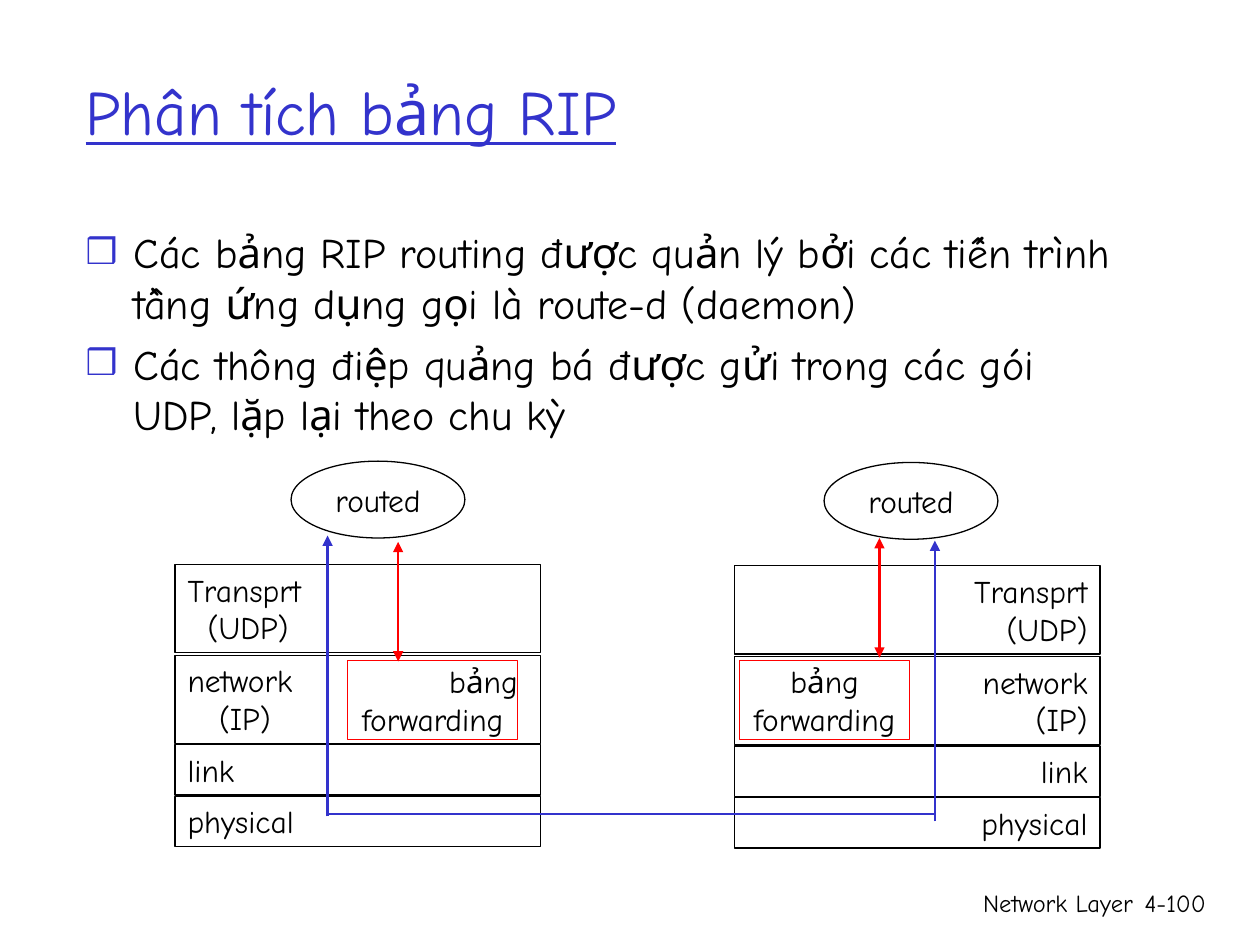
from dataclasses import dataclass

import pptx
import pptx.dml.color
import pptx.enum.shapes
import pptx.enum.text
import pptx.oxml
import pptx.oxml.ns
import pptx.util

RGBColor = pptx.dml.color.RGBColor
SHAPE = pptx.enum.shapes.MSO_SHAPE
ALIGN = pptx.enum.text.PP_ALIGN
ANCHOR = pptx.enum.text.MSO_ANCHOR

BLACK = RGBColor(0x00, 0x00, 0x00)
BLUE = RGBColor(0x33, 0x33, 0xCC)
RED = RGBColor(0xFF, 0x00, 0x00)
FONT = "Comic Neue"
COLS, ROWS = 100, 75

prs = pptx.Presentation()
prs.slide_width = pptx.util.Inches(10)
prs.slide_height = pptx.util.Inches(7.5)


@dataclass(frozen=True)
class Layer:
    """A protocol layer: its lines, grid row, height and second-line indent."""
    lines: tuple[str, ...]
    row: float
    height: float
    indent: float = 0


@dataclass(frozen=True)
class Host:
    """A host's stack, with the columns and rows of its parts."""
    col: float
    shift: float
    align: ALIGN
    process_col: float
    table_col: float
    table_aligns: tuple[ALIGN, ALIGN]
    message_col: float
    update_col: float
    update_row: float


LAYERS = (
    Layer(("physical",), 63.2, 4),
    Layer(("link",), 59.1, 4),
    Layer(("network", "(IP)"), 52, 7, 2.5),
    Layer(("Transprt", "(UDP)"), 44.8, 7, 1.6),
)
HOSTS = (
    Host(13.9, 0, ALIGN.LEFT, 23.1, 27.6, (ALIGN.RIGHT, ALIGN.CENTER), 26, 31.6, 43),
    Host(58.3, 0.1, ALIGN.RIGHT, 65.4, 58.7, (ALIGN.CENTER, ALIGN.CENTER), 74.2, 69.8, 42.7),
)
BULLETS = (
    "Các bảng RIP routing được quản lý bởi các tiến trình tầng ứng dụng gọi là route-d (daemon)",
    "Các thông điệp quảng bá được gửi trong các gói UDP, lặp lại theo chu kỳ",
)


def x(col: float) -> int:
    """Turn grid columns into a length."""
    return round(prs.slide_width * col / COLS)


def y(row: float) -> int:
    """Turn grid rows into a length."""
    return round(prs.slide_height * row / ROWS)


def place(sp, col: float, row: float, width: float, height: float) -> None:
    """Put a shape on the grid."""
    sp.left, sp.top, sp.width, sp.height = x(col), y(row), x(width), y(height)


def write(tf, lines: tuple[str, ...], size: float, aligns: tuple[ALIGN, ...],
          color: RGBColor = BLACK) -> None:
    """Fill a text frame with one formatted paragraph per line."""
    tf.text = "\n".join(lines)
    tf.word_wrap = True
    tf.auto_size = pptx.enum.text.MSO_AUTO_SIZE.NONE
    for p, align in zip(tf.paragraphs, aligns):
        p.alignment = align
        for r in p.runs:
            r.font.name = FONT
            r.font.size = pptx.util.Pt(size)
            r.font.color.rgb = color


def add_xml(parent, tag: str, **attributes: str):
    """Append a DrawingML element to a parent."""
    child = parent.makeelement(pptx.oxml.ns.qn(tag), attributes)
    parent.append(child)
    return child


def add_box(s, kind: SHAPE, box: tuple[float, float, float, float], color: RGBColor):
    """Draw an unfilled outlined shape."""
    sp = s.shapes.add_shape(kind, 0, 0, 0, 0)
    place(sp, *box)
    sp.shadow.inherit = False
    sp.fill.background()
    sp.line.color.rgb = color
    sp.line.width = pptx.util.Pt(0.75)
    return sp


def add_line(s, start: tuple[float, float], end: tuple[float, float],
             color: RGBColor, *heads: str) -> None:
    """Draw a straight line with arrowheads at the named ends."""
    sp = s.shapes.add_connector(pptx.enum.shapes.MSO_CONNECTOR.STRAIGHT,
                                x(start[0]), y(start[1]), x(end[0]), y(end[1]))
    sp.line.color.rgb = color
    sp.line.width = pptx.util.Pt(1.5)
    ln = sp.line._get_or_add_ln()
    for head in heads:
        add_xml(ln, head, type="triangle")
    add_xml(sp._element.spPr, "a:effectLst")


def add_host(s, host: Host) -> None:
    """Draw a host's layers, routing process, forwarding table and arrows."""
    for layer in LAYERS:
        sp = add_box(s, SHAPE.RECTANGLE,
                     (host.col, layer.row + host.shift, 29, layer.height), BLACK)
        write(sp.text_frame, layer.lines, 18, (host.align,) * 2)
        sp.text_frame.vertical_anchor = ANCHOR.TOP
        if host.align == ALIGN.LEFT and layer.indent:
            p = sp.text_frame.paragraphs[1]
            p._p.get_or_add_pPr().set("marL", str(x(layer.indent)))
    parts = (
        (SHAPE.RECTANGLE, (host.table_col, 52.4, 13.5, 6.3), RED,
         ("bảng", "forwarding"), host.table_aligns),
        (SHAPE.OVAL, (host.process_col, 36.6 + host.shift, 13.8, 6.1), BLACK,
         ("routed",), (ALIGN.CENTER,)),
    )
    for kind, box, color, lines, aligns in parts:
        sp = add_box(s, kind, box, color)
        tf = sp.text_frame
        write(tf, lines, 18, aligns)
        tf.margin_left = tf.margin_right = tf.margin_top = tf.margin_bottom = 0
        tf.vertical_anchor = ANCHOR.MIDDLE
    add_line(s, (host.message_col, 64.8 + 4 * host.shift),
             (host.message_col, 42.5 + 4 * host.shift), BLUE, "a:tailEnd")
    add_line(s, (host.update_col, host.update_row),
             (host.update_col, host.update_row + 9.5), RED, "a:headEnd", "a:tailEnd")


def add_footer(s, text: str, col: float, width: float) -> None:
    """Write a right-aligned footer text."""
    sp = s.shapes.add_textbox(x(col), y(70), x(width), y(5))
    write(sp.text_frame, (text,), 14, (ALIGN.RIGHT,))


def main() -> None:
    """Build and save the slide."""
    s = prs.slides.add_slide(prs.slide_layouts[1])
    add_footer(s, "Network Layer", 59.2, 31.7)
    add_footer(s, "4-100", 89.3, 7.4)

    title, body = s.placeholders
    place(title, 5.8, 2.5, 85, 12.5)
    write(title.text_frame, ("Phân tích bảng RIP",), 36, (ALIGN.LEFT,), BLUE)
    title.text_frame.vertical_anchor = ANCHOR.MIDDLE
    title.text_frame.paragraphs[0].runs[0].font.underline = True

    place(body, 5.8, 17.5, 85, 50.8)
    write(body.text_frame, BULLETS, 24, (ALIGN.LEFT,) * 2)
    for p in body.text_frame.paragraphs:
        p.space_before = pptx.util.Pt(6)
        pPr = p._p.get_or_add_pPr()
        pPr.set("marL", str(x(3.8)))
        pPr.set("indent", str(-x(3.8)))
        add_xml(add_xml(pPr, "a:buClr"), "a:srgbClr", val=str(BLUE))
        add_xml(pPr, "a:buSzPct", val="85000")
        add_xml(pPr, "a:buChar", char="❒")

    for host in HOSTS:
        add_host(s, host)
    add_line(s, (HOSTS[0].message_col, 64.6), (HOSTS[1].message_col, 64.6), BLUE)
    prs.save("out.pptx")


if __name__ == "__main__":
    main()
